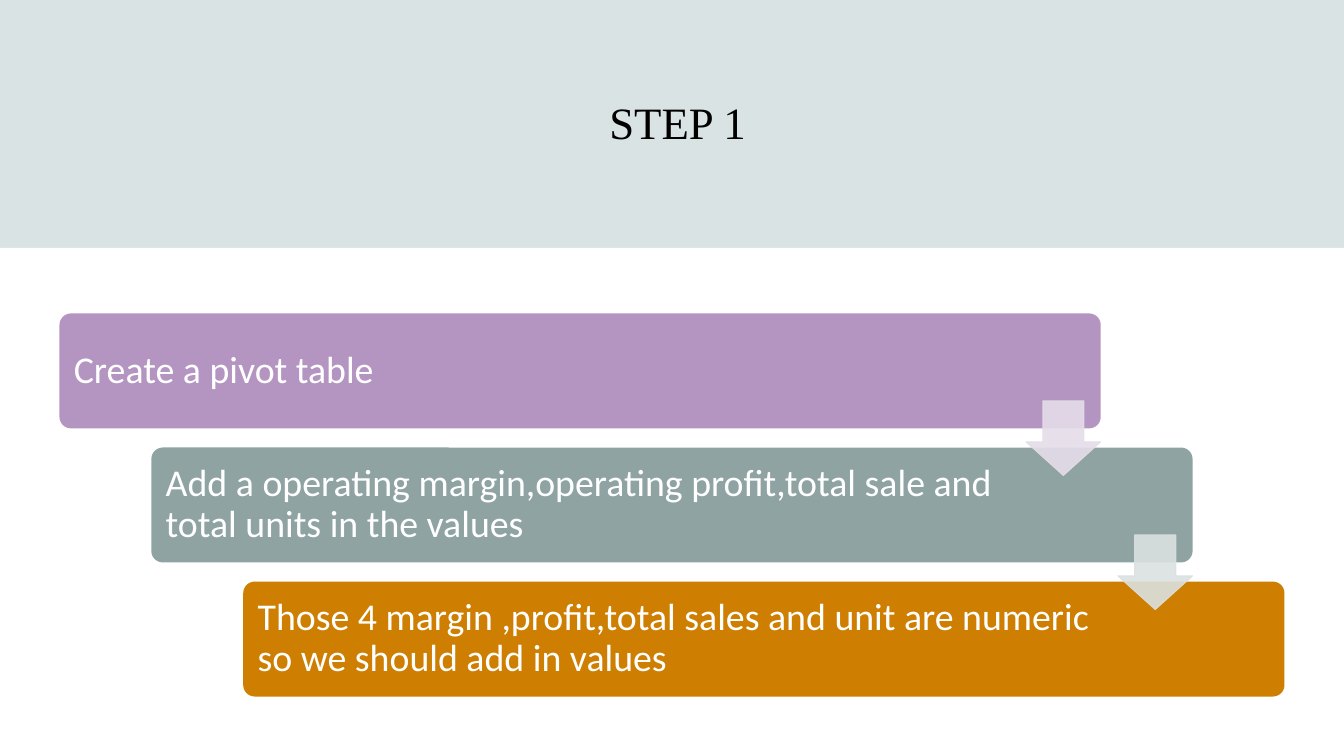
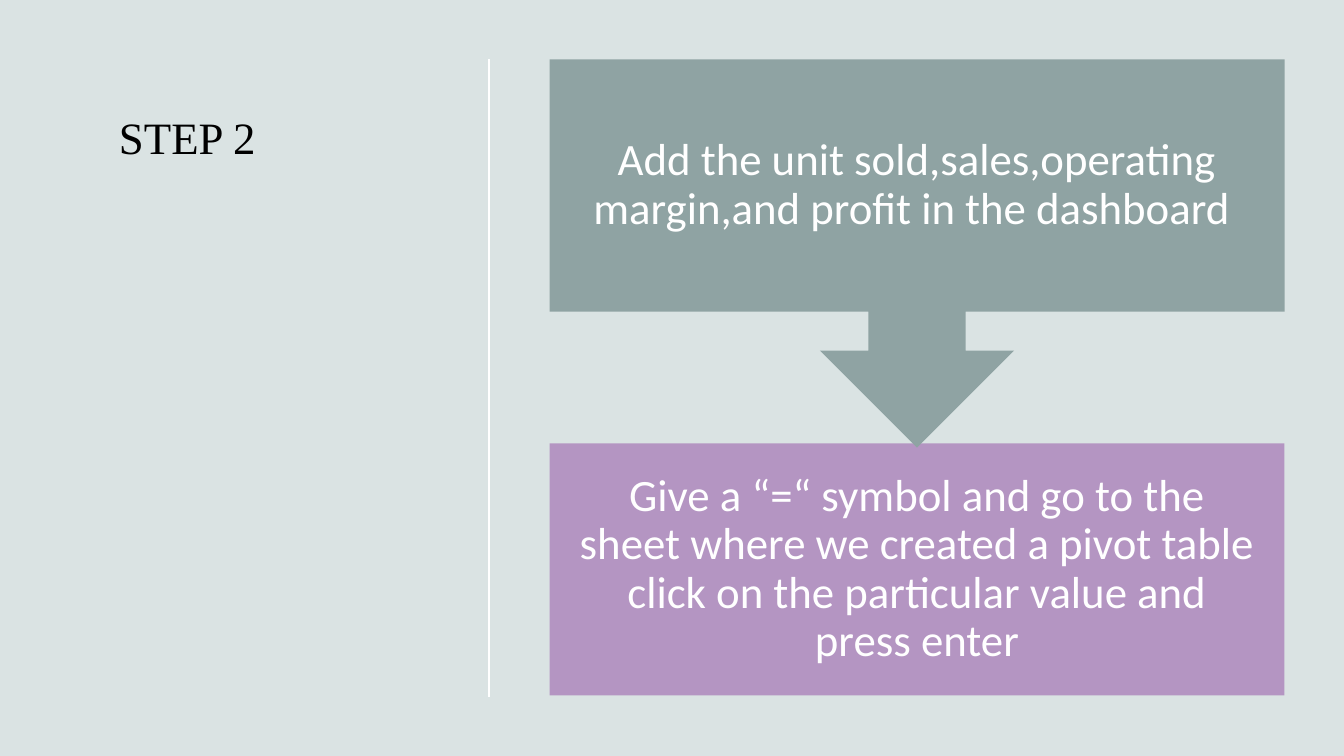
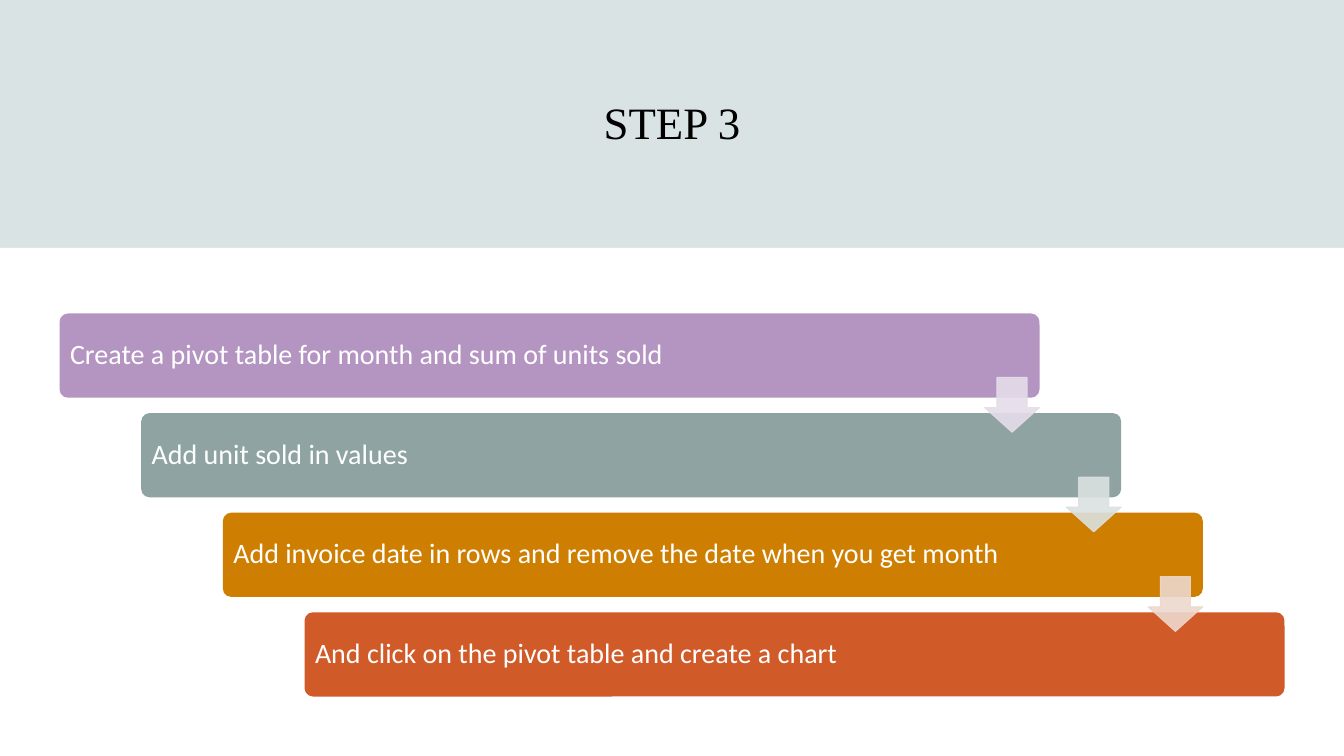
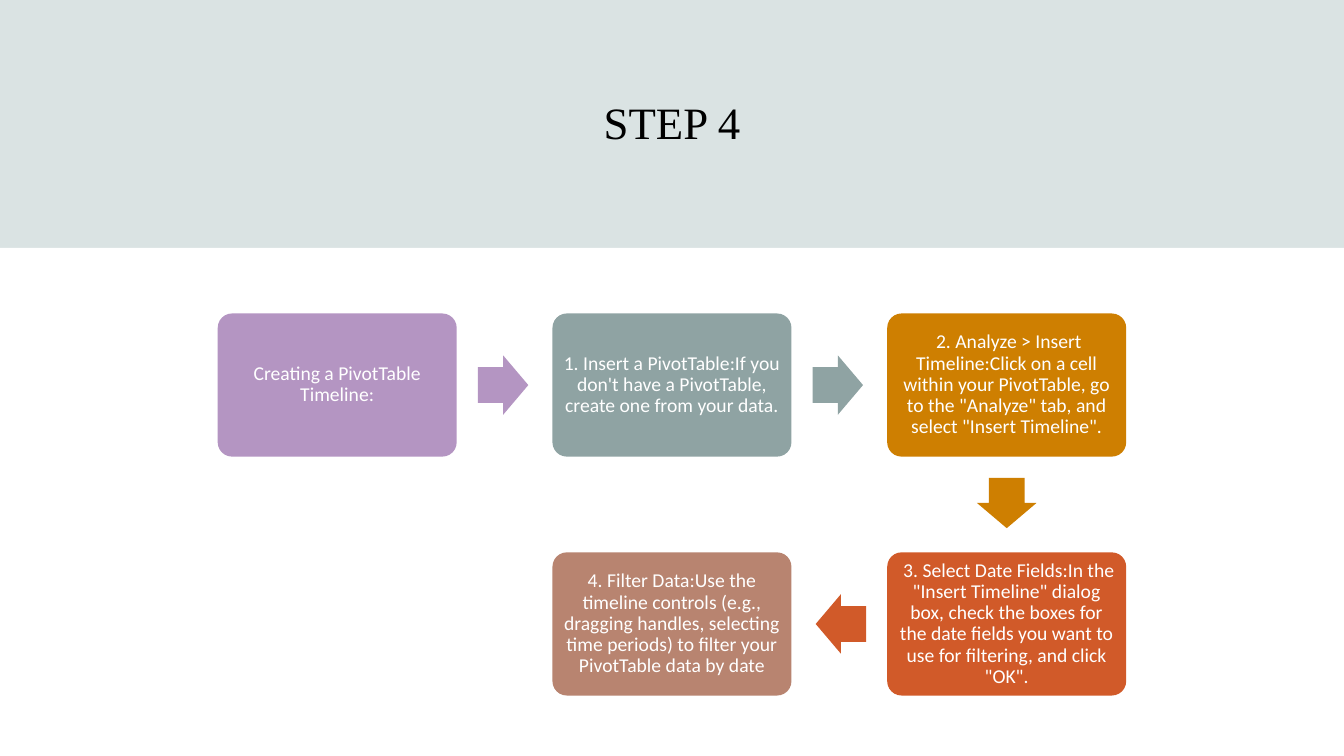
from lxml import etree
from pptx import Presentation
from pptx.dml.color import RGBColor
from pptx.enum.shapes import MSO_CONNECTOR as Connector, MSO_SHAPE as Shape
from pptx.enum.text import MSO_ANCHOR as Anchor, MSO_AUTO_SIZE as AutoSize, PP_ALIGN as Align
from pptx.oxml.ns import qn
from pptx.util import Inches, Pt

COLORS = {
    "mist": "DAE3E3", "white": "FFFFFF", "black": "000000",
    "lilac": "B495C2", "sage": "8FA3A3", "amber": "CE7F01",
    "rust": "D15A29", "clay": "B88470",
    "pale_lilac": "E5DDE9", "pale_sage": "DBE0E0", "pale_rust": "EDD8CC",
}
BOX_COLORS = ["lilac", "sage", "amber", "rust", "clay"]
ARROW_COLORS = ["pale_lilac", "pale_sage", "pale_rust"]
SLIDE_WIDTH, SLIDE_HEIGHT = 13.33, 7.5
TITLE_BOX = (1.18, 0.59, 10.97, 1.23)
SIDE_TITLE_BOX = (1.08, 1.04, 3.06, 5.13)
PANEL_BOX = (0, 2.46, SLIDE_WIDTH, SLIDE_HEIGHT - 2.46)
STAIRS_BOX = (0.59, 3.11, 12.15, 3.8)
CALLOUT_BOX = (5.45, 0.59, 7.29, 6.31)
FLOW_BOX = (2.16, 3.11, 9.01, 3.79)


def rgb(name):
    """Return the named colour."""
    return RGBColor.from_string(COLORS[name])


def apply(target, values):
    """Set each attribute in a dict of format values."""
    for name, value in values.items():
        setattr(target, name, value)


def write_text(shape, text, font, size, color, align, anchor, insets=(0.1, 0.05, 0.1, 0.05), spacing=1):
    """Fill a shape with one formatted paragraph."""
    frame = shape.text_frame
    sides = ("margin_left", "margin_top", "margin_right", "margin_bottom")
    apply(frame, dict(zip(sides, map(Inches, insets))))
    apply(frame, {"word_wrap": True, "auto_size": AutoSize.NONE, "vertical_anchor": anchor})
    paragraph = frame.paragraphs[0]
    apply(paragraph, {"alignment": align, "line_spacing": spacing})
    run = paragraph.add_run()
    run.text = text
    apply(run.font, {"name": font, "size": Pt(size)})
    run.font.color.rgb = rgb(color)


def write_label(shape, text, size, align, insets):
    """Write the white text of a diagram box."""
    write_text(shape, text, "Calibri", size, "white", align, Anchor.MIDDLE, insets, 0.9)


def add_block(slide, kind, box, color, adjustments=()):
    """Add a flat filled shape without outline or shadow."""
    shape = slide.shapes.add_shape(kind, *map(Inches, box))
    shape.shadow.inherit = False
    shape.fill.solid()
    shape.fill.fore_color.rgb = rgb(color)
    shape.line.fill.background()
    for index, value in enumerate(adjustments):
        shape.adjustments[index] = value
    return shape


def add_pale_arrow(slide, box, color):
    """Add a slightly transparent down arrow with a matching outline."""
    arrow = add_block(slide, Shape.DOWN_ARROW, box, color, (0.55, 0.45))
    arrow.line.color.rgb = rgb(color)
    arrow.line.width = Pt(0.75)
    for element in arrow.element.spPr.iter(qn("a:srgbClr")):
        etree.SubElement(element, qn("a:alpha")).set("val", "90000")


def add_titled_slide(presentation, title, box=TITLE_BOX, align=Align.CENTER, anchor=Anchor.MIDDLE):
    """Add a slide and format its title."""
    slide = presentation.slides.add_slide(presentation.slide_layouts[5])
    placeholder = slide.shapes.title
    apply(placeholder, dict(zip(("left", "top", "width", "height"), map(Inches, box))))
    write_text(placeholder, title, "Times New Roman", 32, "black", align, anchor)
    return slide


def add_panel_slide(presentation, title):
    """Add a slide with a title band above a white panel."""
    slide = add_titled_slide(presentation, title)
    add_block(slide, Shape.RECTANGLE, PANEL_BOX, "white")
    return slide


def add_stairs(slide, box, steps, width_share, height_share, size, inset):
    """Draw descending steps joined by down arrows."""
    left, top, width, height = box
    step_width, step_height = width * width_share, height * height_share
    gaps = len(steps) - 1
    shift, pitch = (width - step_width) / gaps, (height - step_height) / gaps
    arrow_size = step_height * 0.65
    insets = (inset, inset, step_width * 0.15 + arrow_size * 0.3, inset)
    for index, text in enumerate(steps):
        step_box = (left + index * shift, top + index * pitch, step_width, step_height)
        step = add_block(slide, Shape.ROUNDED_RECTANGLE, step_box, BOX_COLORS[index], (0.1,))
        write_label(step, text, size, Align.LEFT, insets)
    for index in range(gaps):
        arrow_left = left + index * shift + step_width - arrow_size
        arrow_top = top + index * pitch + step_height * 0.76
        add_pale_arrow(slide, (arrow_left, arrow_top, arrow_size, arrow_size), ARROW_COLORS[index])


def add_callout_pair(slide, box, first, second):
    """Draw a callout pointing down to a second box."""
    left, top, width, height = box
    body = 2.5
    target_box = (left, top + height - body, width, body)
    target = add_block(slide, Shape.RECTANGLE, target_box, "lilac")
    callout = add_block(slide, Shape.DOWN_ARROW_CALLOUT, (left, top, width, 3.85), "sage")
    for shape, text in ((target, second), (callout, first)):
        write_label(shape, text, 32, Align.CENTER, (0.25,) * 4)


def add_divider(slide, x, top, bottom):
    """Draw a thin white vertical line."""
    line = slide.shapes.add_connector(Connector.STRAIGHT, *map(Inches, (x, top, x, bottom)))
    line.line.color.rgb = rgb("white")
    line.line.width = Pt(1)
    etree.SubElement(line.element.spPr, qn("a:effectLst"))


def add_flow(slide, box, texts):
    """Draw boxes that run right, then down and back left."""
    left, top, width, height = box
    card_width, card_height = 2.37, 1.42
    column_pitch, row_pitch = (width - card_width) / 2, height - card_height
    arrow_width, arrow_height, clearance = 0.5, 0.59, 0.21
    cells = [(0, 0), (1, 0), (2, 0), (2, 1), (1, 1)]
    rotations = {(1, 0): 0, (0, 1): 90, (-1, 0): 180}
    for index, (text, (column, row)) in enumerate(zip(texts, cells)):
        x, y = left + column * column_pitch, top + row * row_pitch
        card_box = (x, y, card_width, card_height)
        card = add_block(slide, Shape.ROUNDED_RECTANGLE, card_box, BOX_COLORS[index], (0.1,))
        write_label(card, text, 14, Align.CENTER, (0.06,) * 4)
        if index + 1 < len(cells):
            across, down = cells[index + 1][0] - column, cells[index + 1][1] - row
            reach = clearance + arrow_width / 2
            center_x = x + card_width / 2 + across * (card_width / 2 + reach)
            center_y = y + card_height / 2 + down * (card_height / 2 + reach)
            arrow_box = (center_x - arrow_width / 2, center_y - arrow_height / 2, arrow_width, arrow_height)
            arrow = add_block(slide, Shape.RIGHT_ARROW, arrow_box, BOX_COLORS[index], (0.6, 0.5))
            arrow.rotation = rotations[across, down]


def main():
    """Build and save the presentation."""
    presentation = Presentation()
    apply(presentation, {"slide_width": Inches(SLIDE_WIDTH), "slide_height": Inches(SLIDE_HEIGHT)})
    background = presentation.slide_master.background.fill
    background.solid()
    background.fore_color.rgb = rgb("mist")

    slide = add_panel_slide(presentation, " STEP 1")
    add_stairs(slide, STAIRS_BOX, [
        "Create a pivot table",
        "Add a operating margin,operating profit,total sale and total units in the values",
        "Those 4 margin ,profit,total sales and unit are numeric so we should add in values",
    ], 0.85, 0.3, 27, 0.11)

    slide = add_titled_slide(presentation, "STEP 2", SIDE_TITLE_BOX, Align.LEFT, Anchor.TOP)
    add_divider(slide, 4.85, 0.59, 6.91)
    add_callout_pair(
        slide, CALLOUT_BOX,
        "Add the unit sold,sales,operating margin,and profit in the dashboard ",
        "Give a “=“ symbol and go to the sheet where we created a pivot table "
        "click on the particular value and press enter",
    )

    slide = add_panel_slide(presentation, "STEP 3")
    add_stairs(slide, STAIRS_BOX, [
        "Create a pivot table for month and sum of units sold",
        "Add unit sold in values",
        "Add invoice date in rows and remove the date when you get month",
        "And click on the pivot table and create a chart",
    ], 0.8, 0.22, 20, 0.08)

    slide = add_panel_slide(presentation, "STEP 4")
    add_flow(slide, FLOW_BOX, [
        "Creating a PivotTable Timeline:",
        "1. Insert a PivotTable:If you don't have a PivotTable, create one from your data.",
        " 2. Analyze > Insert Timeline:Click on a cell within your PivotTable, go to the "
        "\"Analyze\" tab, and select \"Insert Timeline\".",
        " 3. Select Date Fields:In the \"Insert Timeline\" dialog box, check the boxes for "
        "the date fields you want to use for filtering, and click \"OK\".",
        "4. Filter Data:Use the timeline controls (e.g., dragging handles, selecting time "
        "periods) to filter your PivotTable data by date",
    ])
    presentation.save("out.pptx")


if __name__ == "__main__":
    main()
